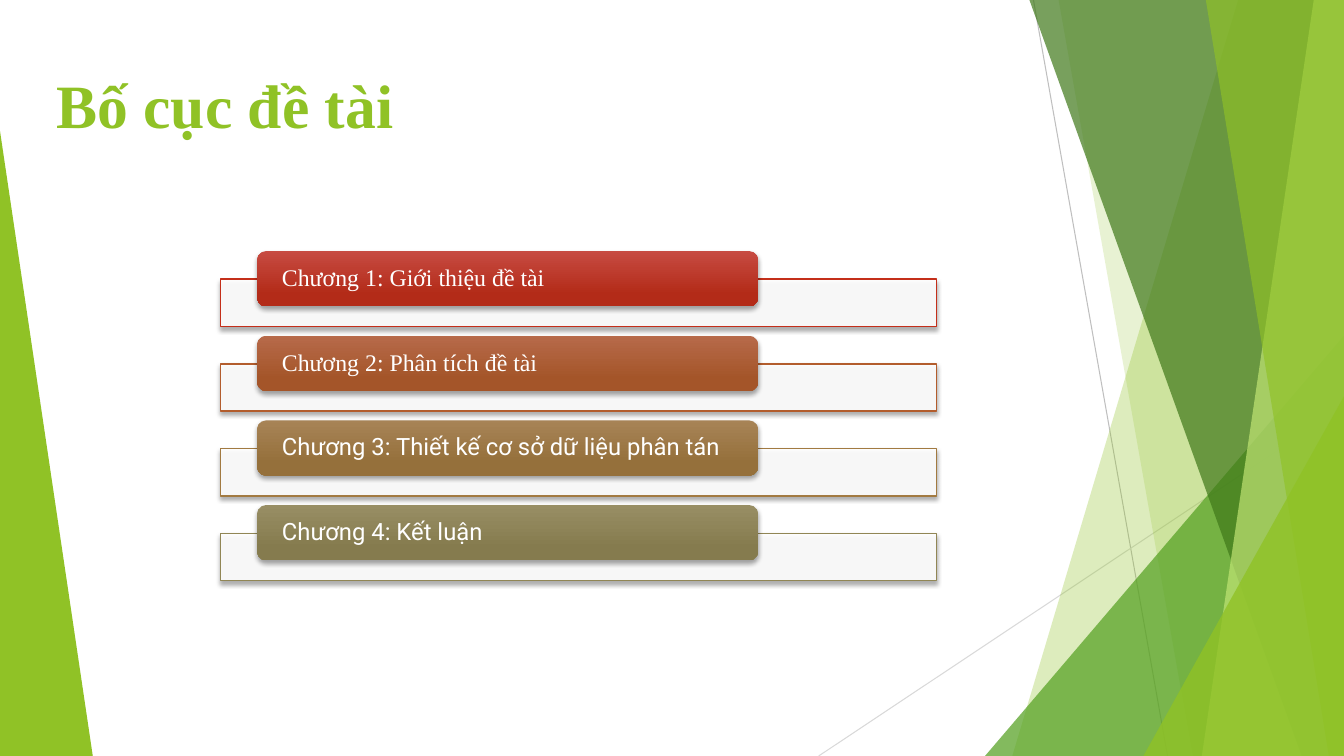
from pptx import Presentation
from pptx.dml.color import RGBColor
from pptx.enum.shapes import MSO_CONNECTOR, MSO_SHAPE
from pptx.enum.text import MSO_ANCHOR, PP_ALIGN
from pptx.oxml.ns import qn
from pptx.util import Inches, Pt
from lxml import etree

RECT = MSO_SHAPE.RECTANGLE
ROUND = MSO_SHAPE.ROUNDED_RECTANGLE
WEDGE = MSO_SHAPE.ISOSCELES_TRIANGLE
STRAIGHT = MSO_CONNECTOR.STRAIGHT
TOP, MIDDLE, LEFT = MSO_ANCHOR.TOP, MSO_ANCHOR.MIDDLE, PP_ALIGN.LEFT

WIDE, HIGH = 13.33, 7.5
SERIF, SANS = "Times New Roman", "Roboto"
COLORS = {
    "lime": "90C226", "pale": "C0E474", "green": "54A021", "forest": "3F7819",
    "white": "FFFFFF", "black": "000000", "gray": "BFBFBF", "silver": "D9D9D9",
}

# x at top left and bottom left of each band that runs to the right edge
BACK_BANDS = [(12.28, 10.04, "lime", 30), (10.5, 11.83, "lime", 20)]
FRONT_BANDS = [(10.21, 12.91, "forest", 70), (13.03, 11.92, "pale", 70),
               (11.96, 13.18, "lime", 65)]

# text, font, line colour, gradient top, gradient bottom
CHAPTERS = [
    ("Chương 1: Giới thiệu đề tài", SERIF, "C42F1A", "C74B42", "B32B18"),
    ("Chương 2: Phân tích đề tài", SERIF, "B35D2D", "B76A4A", "A45529"),
    ("Chương 3: Thiết kế cơ sở dữ liệu phân tán", SANS, "A27A41", "A78356", "95703B"),
    ("Chương 4: Kết luận", SANS, "918655", "988E64", "857B4E"),
]
PITCH = 0.84


def rgb(color):
    return RGBColor.from_string(COLORS.get(color, color))


class Deck:
    def __init__(self):
        self.prs = Presentation()
        self.prs.slide_width, self.prs.slide_height = Inches(WIDE), Inches(HIGH)
        self.slide = self.prs.slides.add_slide(self.prs.slide_layouts[6])
        self.shapes = self.slide.shapes

    def paint(self, shape, color, alpha=100):
        """Give a shape a flat fill, with no outline and no shadow."""
        shape.shadow.inherit = False
        shape.fill.solid()
        shape.fill.fore_color.rgb = rgb(color)
        shape.line.fill.background()
        if alpha < 100:
            tint = shape._element.spPr.find(qn("a:solidFill")).find(qn("a:srgbClr"))
            etree.SubElement(tint, qn("a:alpha"), val=str(alpha * 1000))

    def shade(self, shape):
        """Drop a soft black shadow straight down."""
        shape.shadow.inherit = False
        effects = shape._element.spPr.find(qn("a:effectLst"))
        drop = etree.SubElement(effects, qn("a:outerShdw"), blurRad=str(Pt(3)),
                                dist=str(Pt(2)), dir="5400000", rotWithShape="0")
        tint = etree.SubElement(drop, qn("a:srgbClr"), val=COLORS["black"])
        etree.SubElement(tint, qn("a:alpha"), val="35000")

    def add(self, kind, left, top, width, height):
        return self.shapes.add_shape(kind, Inches(left), Inches(top),
                                     Inches(width), Inches(height))

    def line(self, x1, y1, x2, y2, color):
        rule = self.shapes.add_connector(STRAIGHT, Inches(x1), Inches(y1),
                                         Inches(x2), Inches(y2))
        rule.line.color.rgb = rgb(color)
        rule.line.width = Pt(0.75)
        etree.SubElement(rule._element.spPr, qn("a:effectLst"))

    def band(self, upper, lower, color, alpha):
        pen = self.shapes.build_freeform(Inches(upper), 0)
        pen.add_line_segments([(Inches(x), Inches(y)) for x, y in
                               [(WIDE, 0), (WIDE, HIGH), (lower, HIGH)]])
        self.paint(pen.convert_to_shape(), color, alpha)

    def wedge(self, left, top, width, tip, color, alpha=100):
        """Add a triangle that stands on the bottom edge; tip is 0 left, 1 right."""
        shape = self.add(WEDGE, left, top, width, HIGH - top)
        shape.adjustments[0] = tip
        self.paint(shape, color, alpha)

    def label(self, shape, text, font, size, color, anchor, bold=False):
        frame = shape.text_frame
        frame.word_wrap = True
        frame.vertical_anchor = anchor
        frame.text = text
        para = frame.paragraphs[0]
        para.alignment = LEFT
        style = para.runs[0].font
        style.name, style.size, style.bold = font, Pt(size), bold
        style.color.rgb = rgb(color)
        return frame

    def title(self, text):
        box = self.shapes.add_textbox(Inches(0.46), Inches(0.53),
                                      Inches(7.1), Inches(1.44))
        frame = self.label(box, text, SERIF, 44, "lime", TOP, bold=True)
        frame.margin_top = Inches(0.13)

    def bar(self, top, color):
        shape = self.add(RECT, 2.19, top, 7.1, 0.47)
        self.paint(shape, "white", 90)
        shape.line.color.rgb = rgb(color)
        shape.line.width = Pt(1)
        self.shade(shape)

    def pill(self, top, text, font, light, dark):
        shape = self.add(ROUND, 2.55, top, 4.97, 0.55)
        shape.fill.gradient()
        shape.fill.gradient_angle = 270
        for stop, color, place in zip(shape.fill.gradient_stops, (light, dark), (0, 0.78)):
            stop.color.rgb = rgb(color)
            stop.position = place
        shape.line.fill.background()
        self.shade(shape)
        frame = self.label(shape, text, font, 17, "white", MIDDLE)
        frame.margin_left = frame.margin_right = Inches(0.22)
        frame.margin_top = frame.margin_bottom = 0
        frame.paragraphs[0].line_spacing = 0.9


def main():
    deck = Deck()
    deck.line(10.25, 0, 11.58, HIGH, "gray")
    deck.line(WIDE, 4.03, 8.12, HIGH, "silver")
    for band in BACK_BANDS:
        deck.band(*band)
    deck.wedge(9.77, 3.33, 3.56, 1, "green", 72)
    for band in FRONT_BANDS:
        deck.band(*band)
    deck.wedge(11.34, 3.93, 1.99, 1, "lime", 80)
    deck.title("Bố cục đề tài")
    deck.wedge(0, 1.3, 0.92, 0, "lime")
    for row, (text, font, edge, light, dark) in enumerate(CHAPTERS):
        deck.bar(2.77 + row * PITCH, edge)
        deck.pill(2.49 + row * PITCH, text, font, light, dark)
    deck.prs.save("out.pptx")


if __name__ == "__main__":
    main()
